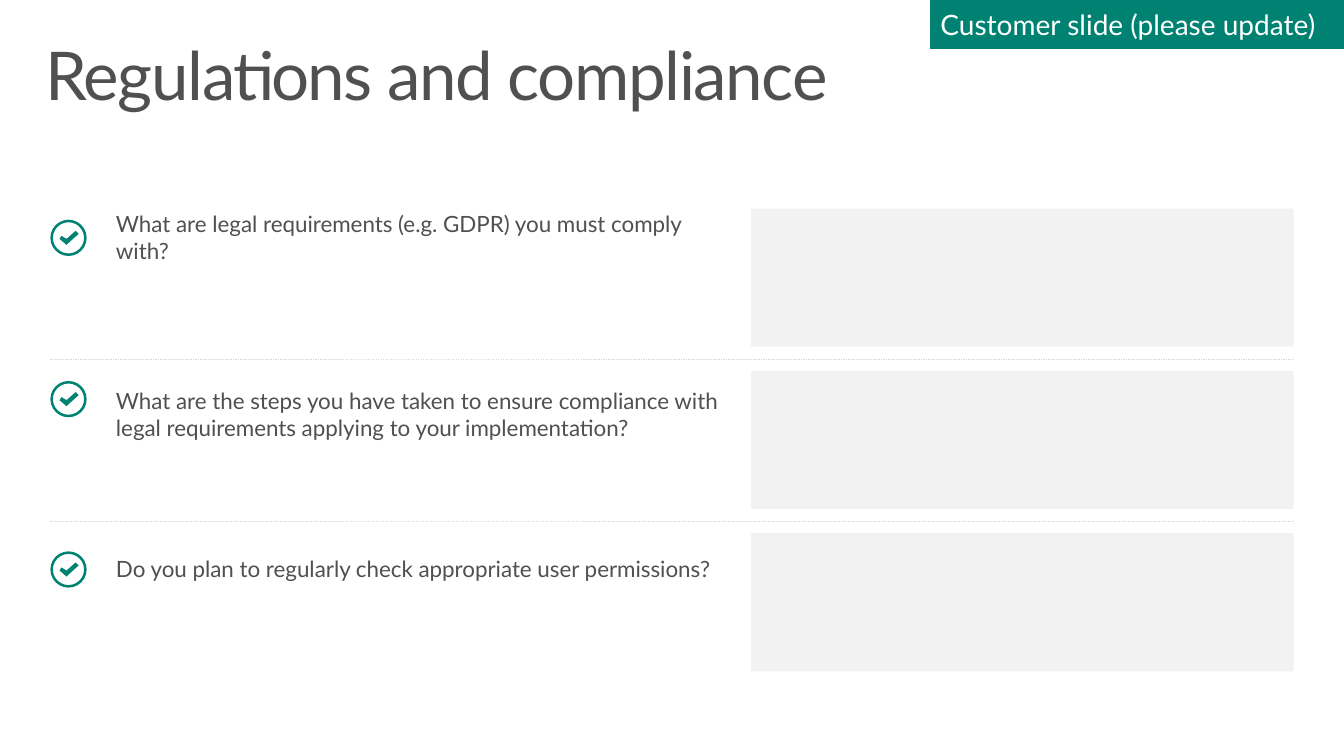
from dataclasses import dataclass

from lxml import etree
from pptx import Presentation
from pptx.dml.color import RGBColor
from pptx.enum.dml import MSO_LINE
from pptx.enum.shapes import MSO_CONNECTOR, MSO_SHAPE
from pptx.enum.text import MSO_ANCHOR, PP_ALIGN
from pptx.oxml.ns import qn
from pptx.shapes.autoshape import Shape
from pptx.slide import Slide
from pptx.util import Pt

PX = 9144
RECT, DONUT = MSO_SHAPE.RECTANGLE, MSO_SHAPE.DONUT
STRAIGHT, DASH = MSO_CONNECTOR.STRAIGHT, MSO_LINE.DASH
TOP, MIDDLE, LEFT = MSO_ANCHOR.TOP, MSO_ANCHOR.MIDDLE, PP_ALIGN.LEFT


@dataclass(frozen=True)
class Theme:
    font: str = "Lato"
    text: str = "505050"
    accent: str = "008272"
    panel: str = "F2F2F2"
    rule: str = "D9D9D9"
    white: str = "FFFFFF"
    title_size: int = 48
    tag_size: int = 20
    body_size: int = 16
    hairline: float = 0.25


@dataclass(frozen=True)
class Box:
    x: int
    y: int
    w: int
    h: int

    def emu(self) -> tuple[int, int, int, int]:
        return self.x * PX, self.y * PX, self.w * PX, self.h * PX


@dataclass(frozen=True)
class Question:
    text: str
    text_y: int
    text_h: int
    icon_y: int


THEME = Theme()
MARGIN, RIGHT_EDGE = 50, 1283
ANSWER = Box(745, 207, 538, 137)
ROW_PITCH = 161
RULE_OFFSET = 149
ICON_SIZE = 36
TICK = [(25, 11), (16, 19), (11, 16), (9, 19), (16, 25), (18, 23), (28, 14)]

QUESTIONS = [
    Question("What are legal requirements (e.g. GDPR) you must comply with?", 207, 57, 218),
    Question("What are the steps you have taken to ensure compliance with legal "
             "requirements applying to your implementation?", 379, 64, 378),
    Question("Do you plan to regularly check appropriate user permissions?", 536, 57, 547),
]


def rgb(color: str) -> RGBColor:
    return RGBColor.from_string(color)


def paint(sp: Shape, color: str) -> None:
    sp.shadow.inherit = False
    sp.fill.solid()
    sp.fill.fore_color.rgb = rgb(color)
    sp.line.fill.background()


def write(sp: Shape, text: str, size: int, color: str, anchor: MSO_ANCHOR,
          insets: tuple[int, int, int, int] = (10, 5, 10, 5)) -> None:
    tf = sp.text_frame
    tf.text = text
    tf.word_wrap = True
    tf.vertical_anchor = anchor
    tf.margin_left, tf.margin_top, tf.margin_right, tf.margin_bottom = (v * PX for v in insets)
    p = tf.paragraphs[0]
    p.alignment = LEFT
    font = p.runs[0].font
    font.name, font.size = THEME.font, Pt(size)
    font.color.rgb = rgb(color)


def add_title(s: Slide) -> None:
    sp = s.shapes.add_textbox(*Box(29, 32, 1275, 98).emu())
    write(sp, "Regulations and compliance", THEME.title_size, THEME.text, TOP, (16, 10, 16, 10))
    p = sp.text_frame.paragraphs[0]
    p.line_spacing = 0.9
    p.runs[0].font._element.set("spc", "-100")


def add_tag(s: Slide) -> None:
    sp = s.shapes.add_shape(RECT, *Box(923, 0, 410, 48).emu())
    paint(sp, THEME.accent)
    sp.line.color.rgb = rgb(THEME.accent)
    sp.line.width = Pt(THEME.hairline)
    write(sp, "Customer slide (please update)", THEME.tag_size, THEME.white, MIDDLE)


def add_rule(s: Slide, y: int) -> None:
    cn = s.shapes.add_connector(STRAIGHT, MARGIN * PX, y * PX, RIGHT_EDGE * PX, y * PX)
    cn.line.color.rgb = rgb(THEME.rule)
    cn.line.width = Pt(THEME.hairline)
    cn.line.dash_style = DASH
    etree.SubElement(cn._element.spPr, qn("a:effectLst"))


def add_check(s: Slide, x: int, y: int) -> None:
    ring = s.shapes.add_shape(DONUT, *Box(x, y, ICON_SIZE, ICON_SIZE).emu())
    ring.adjustments[0] = 0.07
    paint(ring, THEME.accent)
    points = [(x + dx, y + dy) for dx, dy in TICK]
    builder = s.shapes.build_freeform(*points[0], scale=PX)
    builder.add_line_segments(points[1:], close=True)
    paint(builder.convert_to_shape(), THEME.accent)


def add_question(s: Slide, row: int, question: Question) -> None:
    y = ANSWER.y + row * ROW_PITCH
    sp = s.shapes.add_textbox(*Box(55, question.text_y, 675, question.text_h).emu())
    write(sp, question.text, THEME.body_size, THEME.text, MIDDLE, (60, 5, 10, 5))
    add_check(s, MARGIN, question.icon_y)
    panel = s.shapes.add_shape(RECT, *Box(ANSWER.x, y, ANSWER.w, ANSWER.h).emu())
    paint(panel, THEME.panel)
    if row < len(QUESTIONS) - 1:
        add_rule(s, y + RULE_OFFSET)


def main() -> None:
    prs = Presentation()
    prs.slide_width, prs.slide_height = 1333 * PX, 750 * PX
    s = prs.slides.add_slide(prs.slide_layouts[6])
    add_title(s)
    for row, question in enumerate(QUESTIONS):
        add_question(s, row, question)
    add_tag(s)
    prs.save("out.pptx")


if __name__ == "__main__":
    main()
